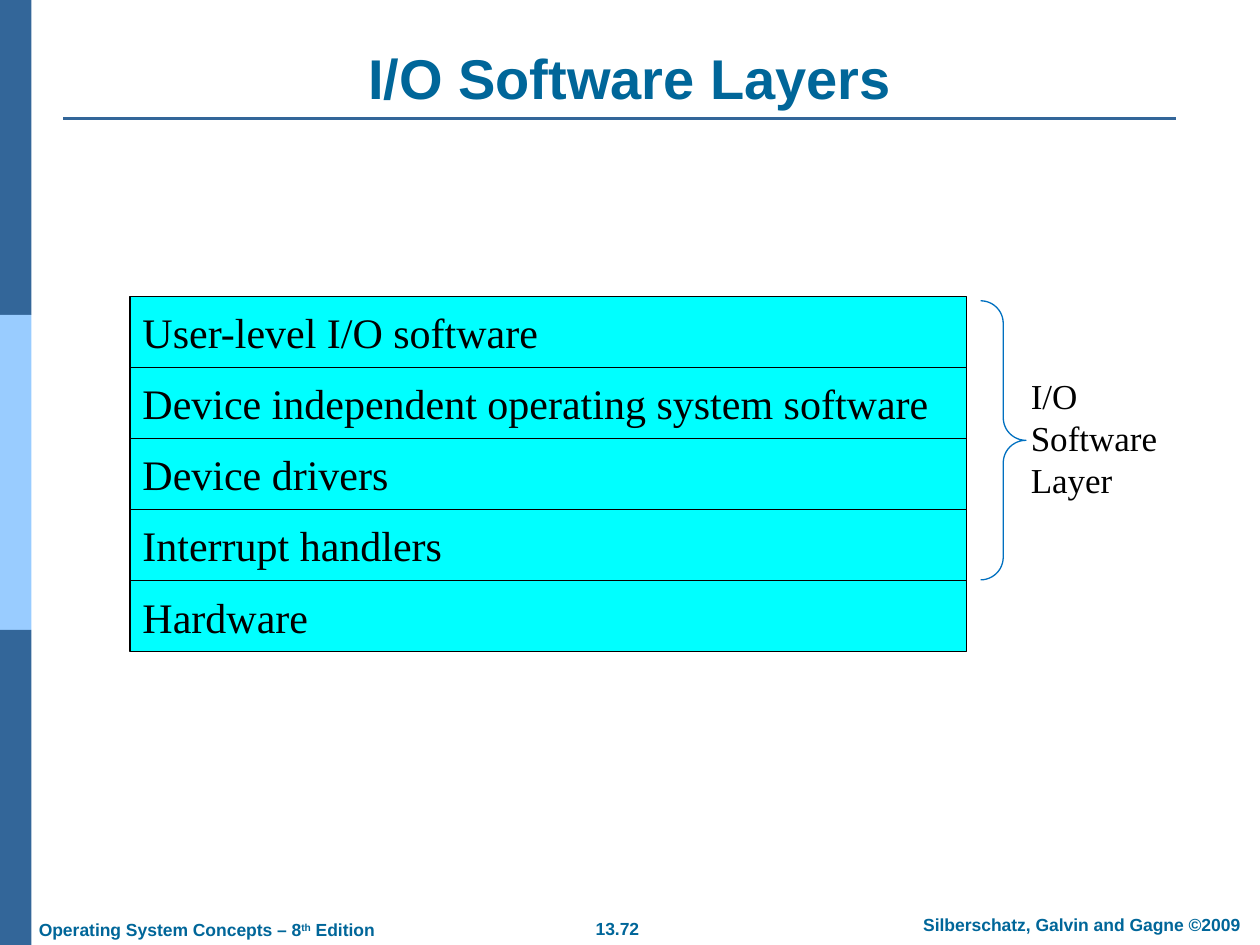
from dataclasses import dataclass
from lxml.etree import SubElement
from pptx import Presentation
from pptx.dml.color import RGBColor
from pptx.enum.shapes import MSO_CONNECTOR, MSO_SHAPE
from pptx.enum.text import MSO_ANCHOR, PP_ALIGN
from pptx.oxml.ns import qn
from pptx.util import Inches, Pt


@dataclass(frozen=True)
class Theme:
    navy: str = "336699"
    sky: str = "99CCFF"
    teal: str = "006699"
    cyan: str = "00FFFF"
    blue: str = "0070C0"
    black: str = "000000"
    sans: str = "Arial"
    serif: str = "Times New Roman"
    title: int = 32
    layer: int = 24
    label: int = 20
    footer: int = 10
    rule: float = 1.5
    outline: float = 0.75


T = Theme()
COLS, ROWS = 40, 30
CELL = 0.25  # inches per grid column and row

TITLE = dict(name=T.sans, size=T.title, bold=True, color=T.teal)
FOOTER = dict(name=T.sans, size=T.footer, bold=True, color=T.teal)
LAYER = dict(name=T.serif, size=T.layer, bold=False, color=T.black)
LABEL = dict(name=T.serif, size=T.label, bold=False, color=T.black)

LAYERS = [
    "User-level I/O software",
    "Device independent operating system software",
    "Device drivers",
    "Interrupt handlers",
    "Hardware",
]


def grid(*cells):
    return [Inches(c * CELL) for c in cells]


def add_run(p, text, fmt, raised=False):
    r = p.add_run()
    r.text = text
    values = dict(fmt, size=Pt(fmt["size"]))
    r.font.color.rgb = RGBColor.from_string(values.pop("color"))
    for key, value in values.items():
        setattr(r.font, key, value)
    if raised:
        r.font._element.set("baseline", "30000")


def write(sp, lines, fmt, align=PP_ALIGN.LEFT, anchor=MSO_ANCHOR.TOP):
    """Each line is a list of (text, raised) runs."""
    tf = sp.text_frame
    for key, value in dict(word_wrap=True, vertical_anchor=anchor).items():
        setattr(tf, key, value)
    for i, line in enumerate(lines):
        p = tf.add_paragraph() if i else tf.paragraphs[0]
        p.alignment = align
        for text, raised in line:
            add_run(p, text, fmt, raised)


def add_shape(s, kind, box, fill=None, line=None):
    sp = s.shapes.add_shape(kind, *grid(*box))
    sp.shadow.inherit = False
    if fill:
        sp.fill.solid()
        sp.fill.fore_color.rgb = RGBColor.from_string(fill)
    else:
        sp.fill.background()
    if line:
        sp.line.color.rgb = RGBColor.from_string(line)
        sp.line.width = Pt(T.outline)
    else:
        sp.line.fill.background()
    return sp


def sidebar(s, box):
    # Three equal bands
    x, y, w, h = box
    bands = [T.navy, T.sky, T.navy]
    step = h / len(bands)
    for i, color in enumerate(bands):
        add_shape(s, MSO_SHAPE.RECTANGLE, (x, y + i * step, w, step), color)


def header(s, box):
    # Title with a rule just below it
    x, y, w, h = box
    rule_y = y + h + 0.04
    rule = s.shapes.add_connector(
        MSO_CONNECTOR.STRAIGHT, *grid(x, rule_y, x + w - 0.68, rule_y))
    rule.line.color.rgb = RGBColor.from_string(T.navy)
    rule.line.width = Pt(T.rule)
    SubElement(rule._element.spPr, qn("a:effectLst"))
    write(s.shapes.add_textbox(*grid(*box)), [[("I/O Software Layers", False)]],
          TITLE, PP_ALIGN.CENTER, MSO_ANCHOR.BOTTOM)


def layer_stack(s, box):
    # Equal layers, top to bottom
    x, y, w, h = box
    step = h / len(LAYERS)
    for i, text in enumerate(LAYERS):
        sp = add_shape(s, MSO_SHAPE.RECTANGLE, (x, y + i * step, w, step),
                       T.cyan, T.black)
        write(sp, [[(text, False)]], LAYER, anchor=MSO_ANCHOR.MIDDLE)


def layer_brace(s, box):
    # Brace over the software layers, with its label
    x, y, w, h = box
    sp = add_shape(s, MSO_SHAPE.RIGHT_BRACE, box, line=T.blue)
    sp.adjustments[0] = 0.5
    label_w, label_h = 5.2, 4.4
    label = s.shapes.add_textbox(
        *grid(x + w - 0.24, y + (h - label_h) / 2 - 0.08, label_w, label_h))
    write(label, [[(t, False)] for t in ("I/O", "Software", "Layer")], LABEL)


def footer(s, box):
    # Book, page number and copyright: x, y offset, width, alignment, runs
    x, y, w, h = box
    parts = [
        (0.84, 0.16, 12, PP_ALIGN.LEFT,
         [("Operating System Concepts – 8", False), ("th", True), (" Edition", False)]),
        (17.48, 0.12, 4.24, PP_ALIGN.CENTER, [("13.72", False)]),
        (28.4, 0, 11.88, PP_ALIGN.CENTER,
         [("Silberschatz, Galvin and Gagne ©2009", False)]),
    ]
    for dx, dy, width, align, runs in parts:
        tb = s.shapes.add_textbox(*grid(x + dx, y + dy, width, h))
        write(tb, [runs], FOOTER, align)


def main():
    prs = Presentation()
    prs.slide_width, prs.slide_height = grid(COLS, ROWS)
    s = prs.slides.add_slide(prs.slide_layouts[6])
    sidebar(s, (0, 0, 1, ROWS))
    footer(s, (0, 28.82, COLS, 1.08))
    header(s, (2, 1.2, 36, 2.52))
    layer_stack(s, (4.13, 9.41, 26.56, 11.28))
    layer_brace(s, (31.13, 9.55, 1.44, 8.86))
    prs.save("out.pptx")


if __name__ == "__main__":
    main()
